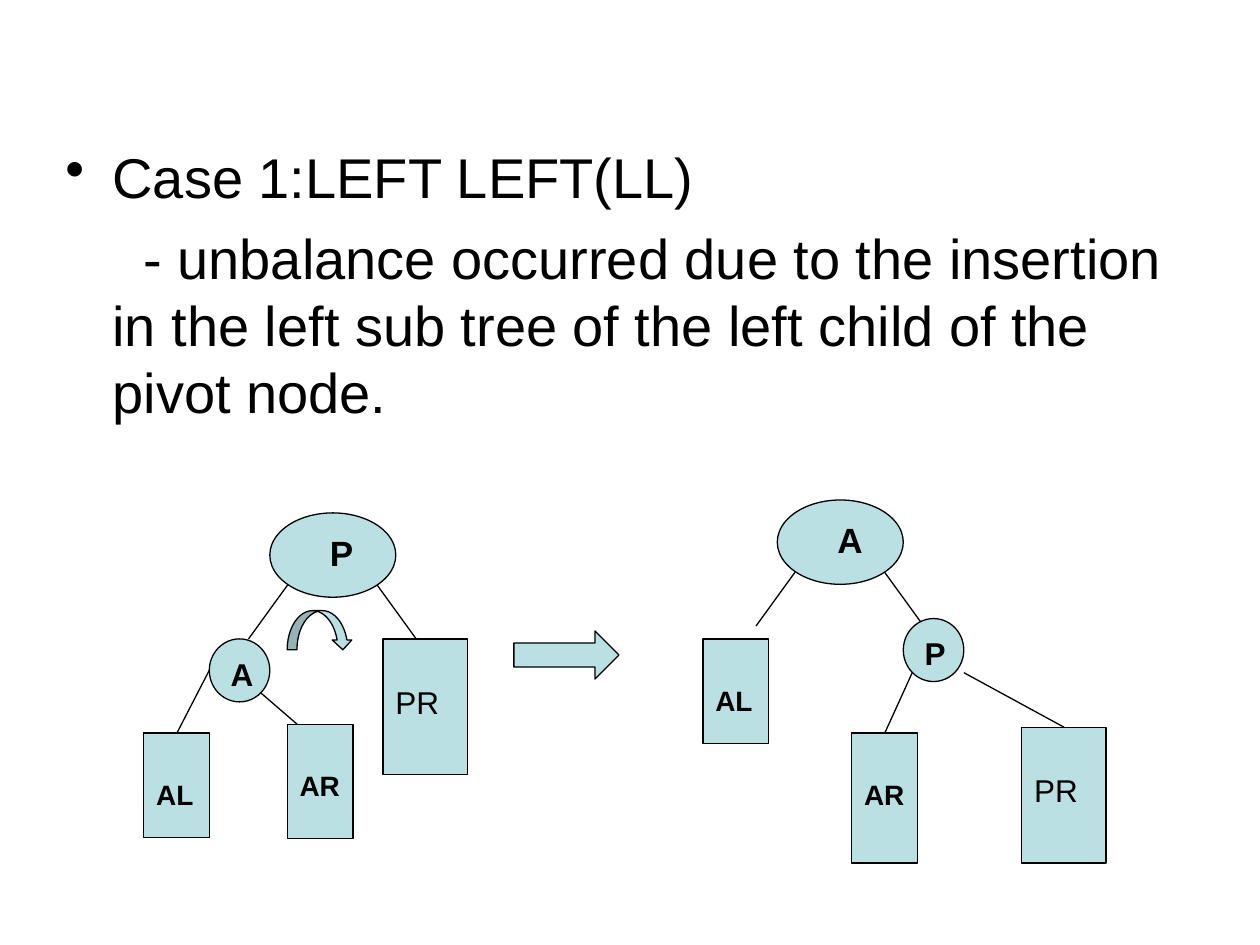
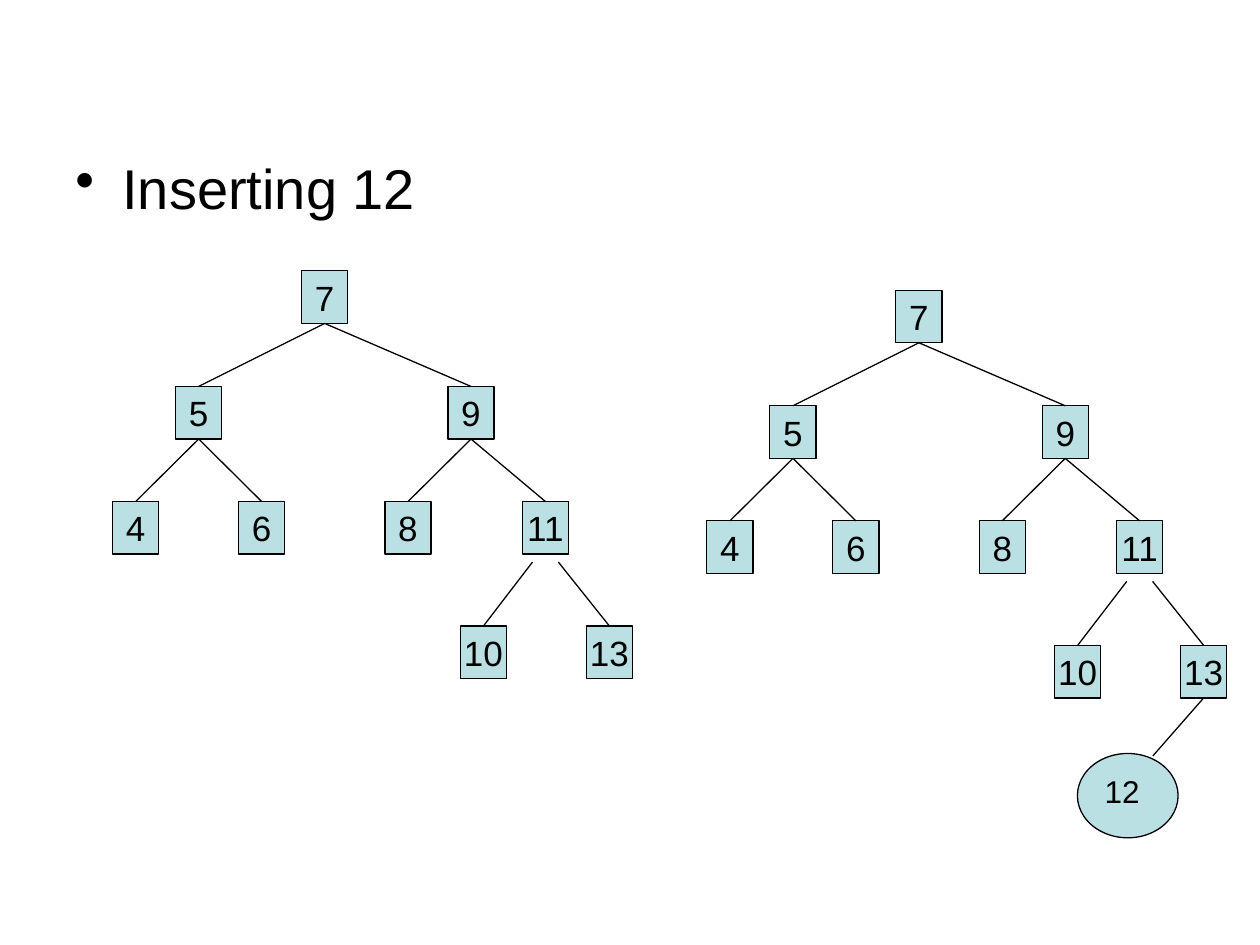
"""Build two slides on rotating and growing balanced binary trees."""
from dataclasses import dataclass

from lxml import etree
from pptx import Presentation
from pptx import util as u
from pptx.dml.color import RGBColor
from pptx.enum import shapes, text
from pptx.oxml.ns import qn

KIND = shapes.MSO_SHAPE


@dataclass(frozen=True)
class Theme:
    ink: RGBColor = RGBColor(0, 0, 0)
    fill: RGBColor = RGBColor(0xBB, 0xE0, 0xE3)
    face: str = "Arial"
    body: int = 32
    node: int = 20
    leaf: int = 18
    tag: int = 16
    rule: float = 0.75
    gap: int = 8
    hang: float = 0.95
    drop: float = 0.89


def assign(target, values):
    for name, value in values.items():
        setattr(target, name, value)


class Deck:
    def __init__(self, theme):
        self.theme = theme
        self.show = Presentation()
        assign(self.show, {"slide_width": u.Cm(25.4), "slide_height": u.Cm(19.05)})
        self.slide = None

    def page(self):
        self.slide = self.show.slides.add_slide(self.show.slide_layouts[6])

    def words(self, para, words, size, bold=False):
        run = para.add_run()
        run.text = words
        assign(run.font, {"name": self.theme.face, "size": u.Pt(size), "bold": bold})
        run.font.color.rgb = self.theme.ink

    def indent(self, para, left, first):
        props = para._p.get_or_add_pPr()
        props.set("marL", str(u.Cm(left)))
        props.set("indent", str(u.Cm(first)))
        return props

    def body(self, box, lines):
        frame = self.slide.shapes.add_textbox(*map(u.Cm, box)).text_frame
        frame.word_wrap = True
        for i, (words, first, mark) in enumerate(lines):
            para = frame.add_paragraph() if i else frame.paragraphs[0]
            para.space_before = u.Pt(self.theme.gap)
            props = self.indent(para, self.theme.hang, first)
            if mark:
                etree.SubElement(props, qn("a:buChar")).set("char", mark)
            self.words(para, words, self.theme.body)

    def shape(self, kind, *box):
        form = self.slide.shapes.add_shape(kind, *map(u.Cm, box))
        form.shadow.inherit = False
        form.fill.solid()
        form.fill.fore_color.rgb = self.theme.fill
        form.line.color.rgb = self.theme.ink
        form.line.width = u.Pt(self.theme.rule)
        return form

    def label(self, form, words, size, bold=False, top=0.13, shift=0):
        frame = form.text_frame
        assign(frame, {"word_wrap": True, "margin_left": u.Cm(0.25), "margin_right": 0,
                       "margin_top": u.Cm(top), "vertical_anchor": text.MSO_ANCHOR.TOP})
        para = frame.paragraphs[0]
        para.alignment = text.PP_ALIGN.LEFT
        self.indent(para, shift, 0)
        self.words(para, words, size, bold)

    def oval(self, words, box, size, bold=True, shift=0):
        self.label(self.shape(KIND.OVAL, *box), words, size, bold, shift=shift)

    def leaf(self, words, box, size, bold=True):
        form = self.shape(KIND.RECTANGLE, *box)
        self.label(form, words, size, bold, top=self.theme.drop)
        return form

    def square(self, words, *box):
        form = self.shape(KIND.RECTANGLE, *box)
        frame = form.text_frame
        assign(frame, {"word_wrap": False, "vertical_anchor": text.MSO_ANCHOR.MIDDLE})
        frame.paragraphs[0].alignment = text.PP_ALIGN.CENTER
        self.words(frame.paragraphs[0], words, self.theme.node)
        return form

    def link(self, start, end):
        """Draw a line between points, or from a box's bottom to a box's top."""
        spots = [p if isinstance(p, tuple) else (0, 0) for p in (start, end)]
        line = self.slide.shapes.add_connector(
            shapes.MSO_CONNECTOR.STRAIGHT, *(u.Cm(v) for spot in spots for v in spot))
        if not isinstance(start, tuple):
            line.begin_connect(start, 2)
        if not isinstance(end, tuple):
            line.end_connect(end, 0)
        line.line.color.rgb = self.theme.ink
        line.line.width = u.Pt(self.theme.rule)
        etree.SubElement(line.element.spPr, qn("a:effectLst"))

    def root(self, words, x, y):
        self.oval(words, (x, y, 2.54, 1.7), self.theme.node, shift=0.59)
        for near, far in ((0.36, -0.43), (2.16, 2.95)):
            self.link((x + near, y + 1.45), (x + far, y + 2.54))

    def tree(self, nodes, x, y):
        wide, high = 0.93, 1.06
        made = {}
        for key, (shift, drop, parent) in nodes.items():
            made[key] = self.square(key, x + shift, y + drop, wide, high)
            if parent == "11":
                side = -0.26 if key == "10" else 0.26
                across, down, _ = nodes[parent]
                start = (x + across + wide / 2 + side, y + down + high + 0.16)
                self.link(start, made[key])
            elif parent:
                self.link(made[parent], made[key])
        return made


ROWS = (0, 2.33, 4.65, 7.16)
NODES = {
    "7": (0, ROWS[0], None),
    "5": (-2.54, ROWS[1], "7"),
    "9": (2.95, ROWS[1], "7"),
    "4": (-3.81, ROWS[2], "5"),
    "6": (-1.27, ROWS[2], "5"),
    "8": (1.68, ROWS[2], "9"),
    "11": (4.45, ROWS[2], "9"),
    "10": (3.2, ROWS[3], "11"),
    "13": (5.74, ROWS[3], "11"),
}


def rotate(deck):
    look = deck.theme
    deck.page()
    deck.body((1.07, 2.74, 22.86, 15.44), (
        ("Case 1:LEFT LEFT(LL)", -look.hang, "•"),
        ("- unbalance occurred due to the insertion in the left sub tree "
         "of the left child of the pivot node.", 0.62, None)))

    deck.root("P", 5.44, 10.34)
    deck.oval("A", (4.22, 12.88, 1.22, 1.27), look.leaf)
    deck.leaf("PR", (7.72, 12.88, 1.7, 2.74), look.leaf, False)
    left = deck.leaf("AL", (2.9, 14.78, 1.33, 2.11), look.tag)
    deck.link((4.22, 13.51), left)
    deck.link((5.26, 13.97), (5.99, 14.6))
    deck.leaf("AR", (5.79, 14.6, 1.33, 2.3), look.tag)
    deck.shape(KIND.CURVED_DOWN_ARROW, 5.79, 12.31, 1.32, 0.79)
    deck.shape(KIND.RIGHT_ARROW, 10.36, 12.72, 2.12, 0.97)

    deck.root("A", 15.67, 10.08)
    deck.oval("P", (18.21, 12.47, 1.22, 1.27), look.leaf)
    deck.leaf("AL", (14.17, 12.88, 1.33, 2.11), look.tag)
    inner = deck.leaf("AR", (17.17, 14.78, 1.33, 2.62), look.tag)
    outer = deck.leaf("PR", (20.6, 14.66, 1.7, 2.74), look.leaf, False)
    deck.link((18.39, 13.56), inner)
    deck.link((19.43, 13.56), outer)


def insert(deck):
    deck.page()
    deck.body((1.27, 2.97, 22.86, 14.05), (("Inserting 12", -deck.theme.hang, "•"),))
    deck.tree(NODES, 6.08, 5.46)
    grown = deck.tree(NODES, 18.06, 5.85)
    deck.link(grown["13"], (23.24, 15.24))
    deck.oval("12", (21.72, 15.19, 2.03, 1.7), deck.theme.leaf, False)


def main():
    deck = Deck(Theme())
    rotate(deck)
    insert(deck)
    deck.show.save("out.pptx")


if __name__ == "__main__":
    main()
